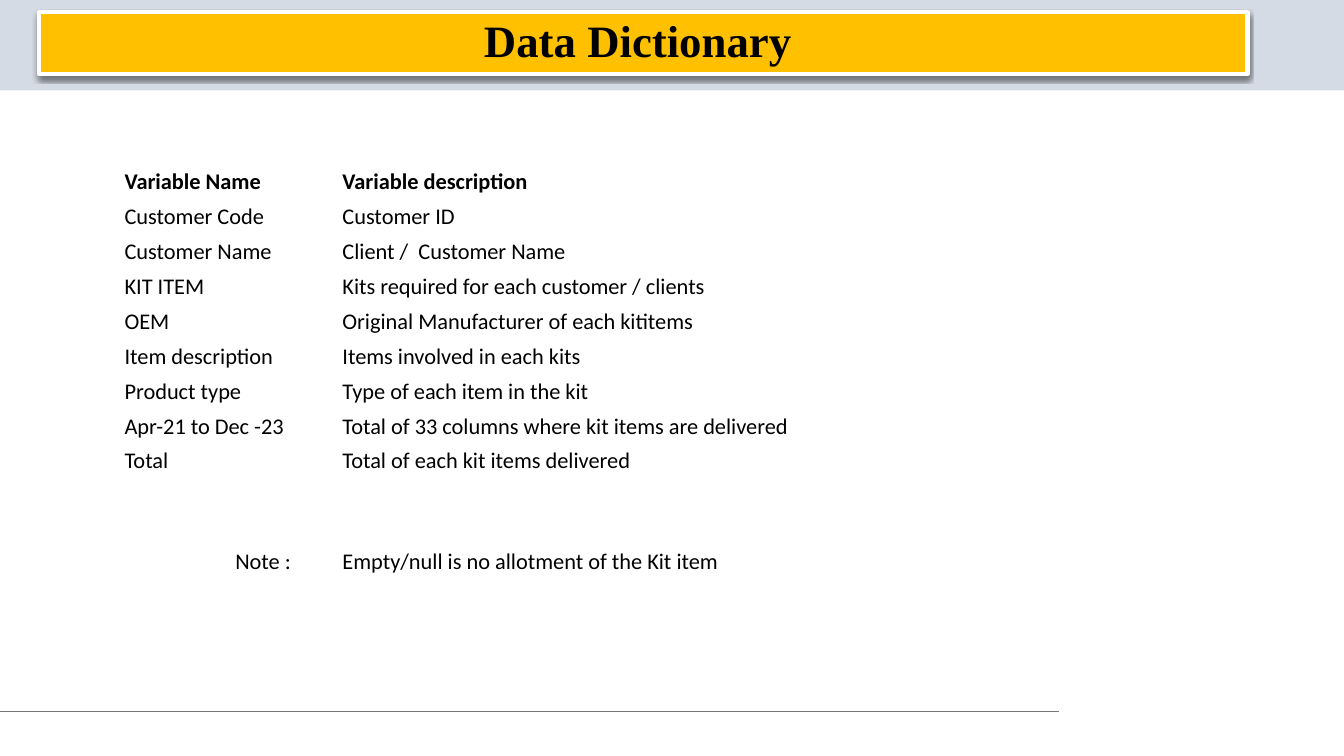
from dataclasses import dataclass
from lxml import etree
from pptx import Presentation, util as u
from pptx.dml.color import RGBColor
from pptx.enum import shapes, text
from pptx.oxml.ns import qn


@dataclass(frozen=True)
class Theme:
    band: str = "D5DBE5"
    gold: str = "FFC000"
    white: str = "FFFFFF"
    ink: str = "000000"
    rule: str = "767676"
    head: str = "Times New Roman"
    body: str = "Calibri"
    big: int = 32
    small: int = 16


THEME = Theme()
COLS = [5.49, 2.44, 2.44, 3.07, 3.07, 3.07]
TALL, LOW = 1.65, 0.88
ROWS = [
    ("Variable Name", "Variable description", 2),
    ("Customer Code", "Customer ID", 2),
    ("Customer Name", "Client /  Customer Name", 3),
    ("KIT ITEM", "Kits required for each customer / clients", 4),
    ("OEM", "Original Manufacturer of each kititems", 4),
    ("Item description", "Items involved in each kits", 3),
    ("Product type", "Type of each item in the kit", 3),
    ("Apr-21 to Dec -23", "Total of 33 columns where kit items are delivered", 5),
    ("Total", "Total of each kit items delivered", 4),
    ("", "", 1),
    ("Note :", "Empty/null is no allotment of the Kit item", 4),
]


def color(code):
    return RGBColor.from_string(code)


def write(frame, words, font=THEME.body, size=THEME.small, bold=False,
          align=text.PP_ALIGN.LEFT, space=1.0):
    para = frame.paragraphs[0]
    para.alignment = align
    para.line_spacing = space
    run = para.add_run()
    run.text = words
    run.font.name = font
    run.font.size = u.Pt(size)
    run.font.bold = bold
    run.font.color.rgb = color(THEME.ink)


def shade(shape):
    props = shape.element.spPr
    effects = etree.SubElement(props, qn("a:effectLst"))
    shadow = etree.SubElement(effects, qn("a:outerShdw"), blurRad="38100",
                              dist="30000", dir="5400000", rotWithShape="0")
    tone = etree.SubElement(shadow, qn("a:srgbClr"), val=THEME.ink)
    etree.SubElement(tone, qn("a:alpha"), val="45000")


def header(slide, left, top, width, height):
    band = slide.shapes.add_shape(shapes.MSO_SHAPE.RECTANGLE, u.Cm(left),
                                  u.Cm(top), u.Cm(width), u.Cm(height))
    band.shadow.inherit = False
    band.fill.solid()
    band.fill.fore_color.rgb = color(THEME.band)
    band.line.fill.background()

    title = slide.shapes.title
    band.element.addnext(title.element)
    title.left, title.top = u.Cm(left + 0.99), u.Cm(top + 0.31)
    title.width, title.height = u.Cm(width - 3.42), u.Cm(height - 0.72)
    title.fill.solid()
    title.fill.fore_color.rgb = color(THEME.gold)
    title.line.color.rgb = color(THEME.white)
    title.line.width = u.Pt(3)
    shade(title)
    frame = title.text_frame
    frame.auto_size = text.MSO_AUTO_SIZE.NONE
    frame.vertical_anchor = text.MSO_ANCHOR.MIDDLE
    write(frame, "Data Dictionary ", font=THEME.head, size=THEME.big,
          bold=True, align=text.PP_ALIGN.CENTER, space=0.9)


def footer(slide, left, top, width):
    rule = slide.shapes.add_connector(shapes.MSO_CONNECTOR.STRAIGHT, u.Cm(left),
                                      u.Cm(top), u.Cm(left + width), u.Cm(top))
    rule.line.color.rgb = color(THEME.rule)
    rule.line.width = u.Pt(0.75)
    etree.SubElement(rule.element.spPr, qn("a:effectLst"))


def glossary(slide, left, top):
    highs = [TALL if name in ("Variable Name", "Note :") else LOW
             for name, _, _ in ROWS]
    table = slide.shapes.add_table(len(ROWS), len(COLS), u.Cm(left), u.Cm(top),
                                   u.Cm(sum(COLS)), u.Cm(sum(highs))).table
    table.first_row = table.horz_banding = False
    for col, wide in zip(table.columns, COLS):
        col.width = u.Cm(wide)
    for row, high in zip(table.rows, highs):
        row.height = u.Cm(high)
    for cell in table.iter_cells():
        cell.fill.background()
        cell.vertical_anchor = text.MSO_ANCHOR.BOTTOM
        cell.margin_left = cell.margin_right = cell.margin_top = u.Cm(0.02)
        cell.margin_bottom = 0
    for row, (name, meaning, span) in enumerate(ROWS):
        if not name:
            continue
        key, value = table.cell(row, 0), table.cell(row, 1)
        value.merge(table.cell(row, span))
        note = name == "Note :"
        if note:
            key.margin_right = u.Cm(1.28)
        write(key.text_frame, name, bold=row == 0,
              align=text.PP_ALIGN.RIGHT if note else text.PP_ALIGN.LEFT)
        write(value.text_frame, meaning, bold=row == 0)


def main():
    deck = Presentation()
    deck.slide_width, deck.slide_height = u.Cm(33.87), u.Cm(19.05)
    slide = deck.slides.add_slide(deck.slide_layouts[5])
    header(slide, 0, 0, 33.87, 2.28)
    footer(slide, 0, 17.93, 26.7)
    glossary(slide, 3.12, 3.28)
    deck.save("out.pptx")


if __name__ == "__main__":
    main()
